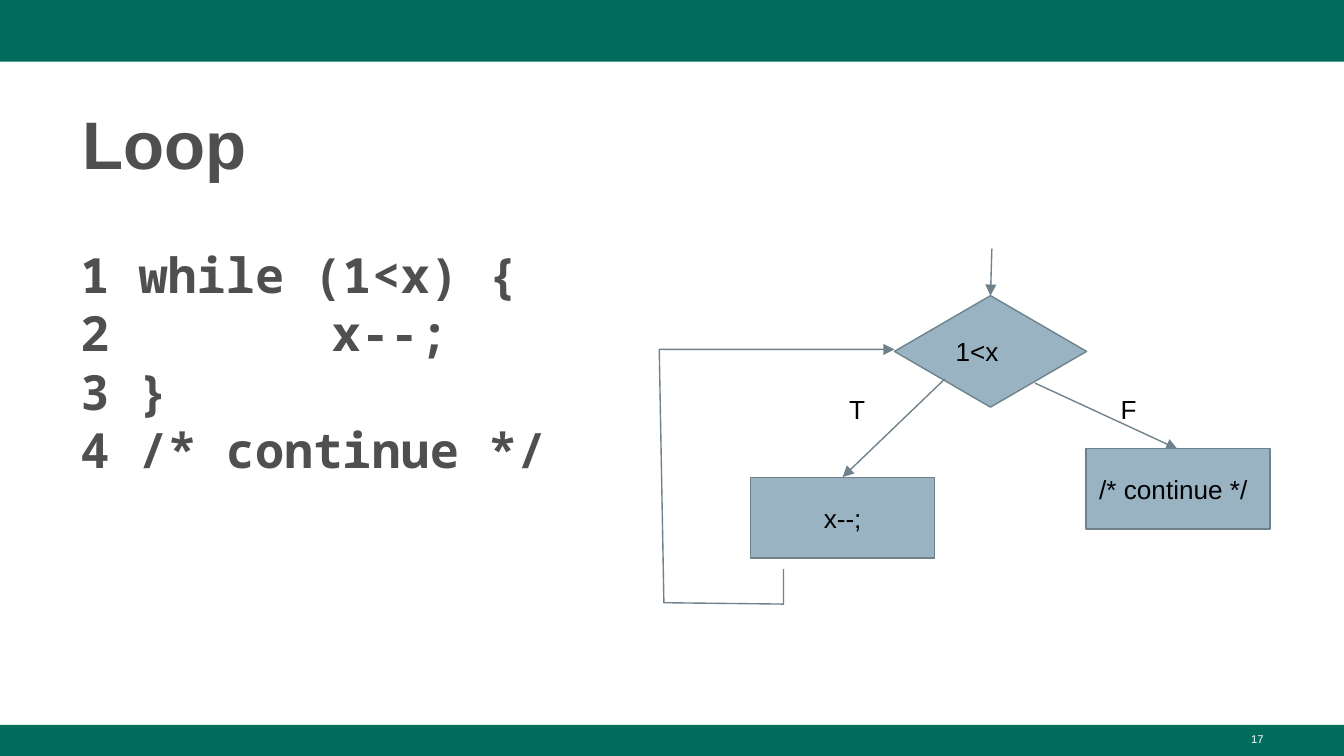
from lxml.etree import SubElement
from pptx import Presentation
from pptx.dml.color import RGBColor
from pptx.enum.shapes import MSO_CONNECTOR as Link, MSO_SHAPE as Preset
from pptx.enum.text import MSO_ANCHOR as Anchor, PP_ALIGN as Align
from pptx.oxml.ns import qn
from pptx.util import Inches, Pt

# The grid has 100 columns and 56.25 rows of a tenth of an inch.
COLUMNS, ROWS = 100, 56.25
UNIT = 0.1
COLORS = {"band": "006C5C", "heading": "4F4F4F", "node": "99B3C2",
          "edge": "6F828C", "label": "000000", "page": "FFFFFF"}
NODE_SIZE = (13.7, 6)
LABEL_SIZE = (4.4, 2.2)
CODE = ["1 while (1<x) {", "2\tx--;", "3 }", "4 /* continue */"]
CODE_TAB = 18.7


def grid(*cells):
    """Turn grid units into lengths."""
    return [Inches(cell * UNIT) for cell in cells]


def color(name):
    """Look up a colour by its role."""
    return RGBColor.from_string(COLORS[name])


def write(holder, lines, size=14, font="Arial", ink="label", bold=False,
          align=Align.LEFT, anchor=Anchor.TOP, insets=(1, 1, 1, 1),
          spacing=None, tab=None):
    """Write one paragraph per line into a shape or text box."""
    frame = holder.text_frame
    frame.word_wrap = True
    frame.vertical_anchor = anchor
    (frame.margin_left, frame.margin_top,
     frame.margin_right, frame.margin_bottom) = grid(*insets)
    for number, line in enumerate(lines):
        paragraph = frame.add_paragraph() if number else frame.paragraphs[0]
        paragraph.alignment = align
        if spacing:
            paragraph.line_spacing = spacing
        if tab:
            stops = SubElement(paragraph._p.get_or_add_pPr(), qn("a:tabLst"))
            SubElement(stops, qn("a:tab"), pos=str(grid(tab)[0]), algn="l")
        run = paragraph.add_run()
        run.text = line
        run.font.size, run.font.name, run.font.bold = Pt(size), font, bold
        run.font.color.rgb = color(ink)


def add_text(slide, place, lines, **style):
    """Place free text on the grid."""
    write(slide.shapes.add_textbox(*grid(*place)), lines, **style)


def add_band(slide, top, height):
    """Draw a full-width coloured band."""
    band = slide.shapes.add_shape(Preset.RECTANGLE, *grid(0, top, COLUMNS, height))
    band.shadow.inherit = False
    band.fill.solid()
    band.fill.fore_color.rgb = color("band")
    band.line.fill.background()


def add_node(slide, preset, place, label, align=Align.LEFT):
    """Draw a labelled flowchart node."""
    node = slide.shapes.add_shape(preset, *grid(*place))
    node.shadow.inherit = False
    node.fill.solid()
    node.fill.fore_color.rgb = color("node")
    node.line.color.rgb = color("edge")
    node.line.width = Pt(0.75)
    write(node, [label], align=align, anchor=Anchor.MIDDLE)


def style_flow(flow):
    """Give a flow line its colour, width and arrowhead."""
    flow.line.color.rgb = color("edge")
    flow.line.width = Pt(0.75)
    SubElement(flow._element.spPr.find(qn("a:ln")), qn("a:tailEnd"), type="triangle")


def add_flow(slide, start, end):
    """Draw a straight arrow."""
    flow = slide.shapes.add_connector(Link.STRAIGHT, *grid(*start, *end))
    style_flow(flow)
    SubElement(flow._element.spPr, qn("a:effectLst"))


def add_return_flow(slide, corners):
    """Draw the open arrow that leads back to the condition."""
    start, *rest = [grid(*corner) for corner in corners]
    builder = slide.shapes.build_freeform(*start)
    builder.add_line_segments(rest, close=False)
    flow = builder.convert_to_shape()
    flow.fill.background()
    style_flow(flow)
    flow.shadow.inherit = False


def main():
    """Build the slide about the while loop."""
    deck = Presentation()
    deck.slide_width, deck.slide_height = grid(COLUMNS, ROWS)
    slide = deck.slides.add_slide(deck.slide_layouts[6])

    add_band(slide, 0, 4.6)
    add_band(slide, ROWS - 2.3, 2.3)
    add_text(slide, (5, 17.75, 55.6, 16.7), CODE, size=26, font="Noto Sans Mono",
             ink="heading", bold=True, insets=(1, 0.5, 1, 0.5), tab=CODE_TAB)
    add_text(slide, (5.15, 6.7, 89.9, 7.3), ["Loop"], size=36, ink="heading",
             bold=True, anchor=Anchor.MIDDLE, insets=(1, 0.5, 0.5, 0.5),
             spacing=1.08)

    add_node(slide, Preset.RECTANGLE, (55.85, 35.53, *NODE_SIZE), "x--;", Align.CENTER)
    add_node(slide, Preset.RECTANGLE, (80.8, 33.36, *NODE_SIZE), "/* continue */")
    add_node(slide, Preset.DIAMOND, (66.55, 22, 14.3, 8.3), "1<x")

    for start, end in [((73.8, 18.5), (73.7, 22)),
                       ((70.3, 28.2), (62.7, 35.5)),
                       ((77, 28.5), (87.6, 33.4))]:
        add_flow(slide, start, end)
    add_return_flow(slide, [(58.3, 42.35), (58.3, 44.95), (49.4, 44.85),
                            (49.05, 26), (66.55, 26)])
    for left, answer in [(62.2, "T"), (82.4, "F")]:
        add_text(slide, (left, 28.3, *LABEL_SIZE), [answer])

    add_text(slide, (71.7, 54, 23.3, 2.3), ["17"], size=6, ink="page",
             align=Align.RIGHT, insets=(1, 0.5, 1, 0.5))
    deck.save("out.pptx")


main()
